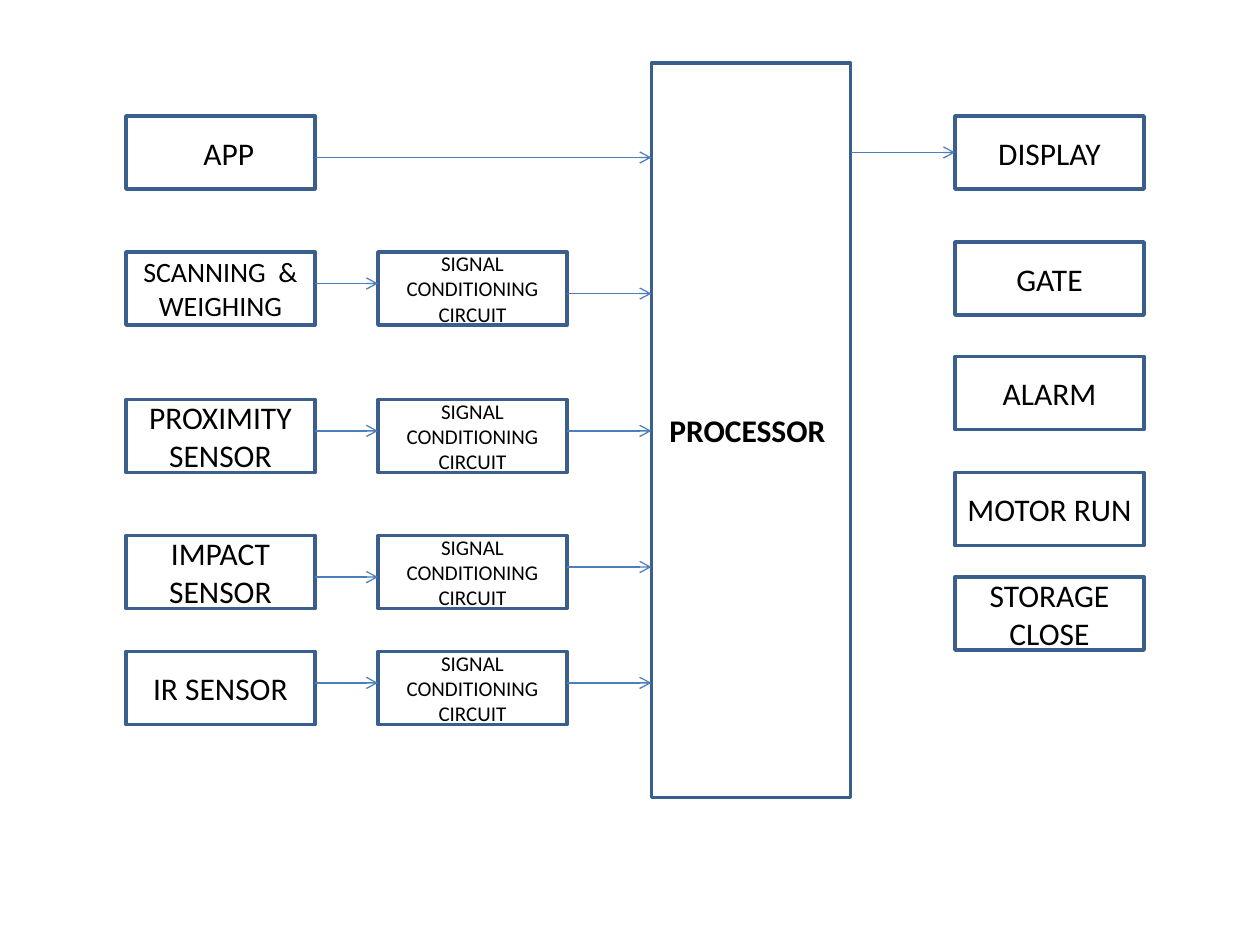
from dataclasses import dataclass

from lxml.etree import SubElement
from pptx import Presentation
from pptx.dml.color import RGBColor
from pptx.enum.shapes import MSO_CONNECTOR as Connector, MSO_SHAPE as Shape
from pptx.enum.text import MSO_ANCHOR as Anchor, PP_ALIGN as Align
from pptx.oxml.ns import qn
from pptx.util import Inches, Pt


@dataclass(frozen=True)
class Theme:
    font: str = "Calibri"
    paper: RGBColor = RGBColor(0xFF, 0xFF, 0xFF)
    ink: RGBColor = RGBColor(0, 0, 0)
    border: RGBColor = RGBColor(0x3A, 0x5F, 0x8C)
    arrow: RGBColor = RGBColor(0x4B, 0x7E, 0xBC)
    border_width: float = 2
    arrow_width: float = 0.75
    large: int = 18
    medium: int = 16
    small: int = 12


THEME = Theme()


@dataclass(frozen=True)
class Block:
    label: str
    left: float
    top: float
    size: int = THEME.large
    width: float = 1.5
    height: float = 0.58
    bold: bool = False
    inset: float = 0.1

    @property
    def right(self) -> float:
        return self.left + self.width


@dataclass(frozen=True)
class Arrow:
    start: float
    end: float
    y: float


def draw_block(slide, block: Block) -> None:
    box = slide.shapes.add_shape(
        Shape.RECTANGLE, Inches(block.left), Inches(block.top),
        Inches(block.width), Inches(block.height))
    box.shadow.inherit = False
    box.fill.solid()
    box.fill.fore_color.rgb = THEME.paper
    box.line.color.rgb = THEME.border
    box.line.width = Pt(THEME.border_width)
    frame = box.text_frame
    frame.text = block.label
    frame.word_wrap = True
    frame.vertical_anchor = Anchor.MIDDLE
    frame.margin_left = Inches(block.inset)
    label = frame.paragraphs[0]
    label.alignment = Align.CENTER
    font = label.runs[0].font
    font.name, font.size, font.bold = THEME.font, Pt(block.size), block.bold
    font.color.rgb = THEME.ink


def draw_arrow(slide, arrow: Arrow) -> None:
    link = slide.shapes.add_connector(
        Connector.STRAIGHT, Inches(arrow.start), Inches(arrow.y),
        Inches(arrow.end), Inches(arrow.y))
    link.line.color.rgb = THEME.arrow
    link.line.width = Pt(THEME.arrow_width)
    SubElement(link.line._get_or_add_ln(), qn("a:tailEnd"), type="arrow")
    SubElement(link._element.spPr, qn("a:effectLst"))


# Columns
INPUT_X, CIRCUIT_X, PROCESSOR_X, OUTPUT_X = 1, 3, 5.17, 7.58

processor = Block("PROCESSOR ", PROCESSOR_X, 0.5, width=1.58, height=5.83, bold=True)
app = Block("APP", INPUT_X, 0.92, inset=0.23)

# Sensors: label, top, type size, heights of the arrows into and out of the circuit
sensors = [
    ("SCANNING  & WEIGHING", 2, THEME.medium, 2.25, 2.33),
    ("PROXIMITY SENSOR", 3.17, THEME.large, 3.42, 3.42),
    ("IMPACT SENSOR", 4.25, THEME.large, 4.58, 4.5),
    ("IR SENSOR", 5.17, THEME.large, 5.42, 5.42),
]
outputs = [("DISPLAY", 0.92), ("GATE", 1.92), ("ALARM", 2.83),
           ("MOTOR RUN", 3.75), ("STORAGE CLOSE", 4.58)]

# Blocks with the arrows that join them edge to edge
blocks = [processor, app]
arrows = [Arrow(app.right, processor.left, 1.25)]
for label, top, size, into_y, out_y in sensors:
    sensor = Block(label, INPUT_X, top, size)
    circuit = Block("SIGNAL CONDITIONING CIRCUIT", CIRCUIT_X, top, THEME.small)
    blocks += [sensor, circuit]
    arrows += [Arrow(sensor.right, circuit.left, into_y),
               Arrow(circuit.right, processor.left, out_y)]
blocks += [Block(label, OUTPUT_X, top) for label, top in outputs]
arrows.append(Arrow(processor.right, OUTPUT_X, 1.21))

# Slide
deck = Presentation()
deck.slide_width, deck.slide_height = Inches(10), Inches(7.5)
diagram = deck.slides.add_slide(deck.slide_layouts[6])
for block in blocks:
    draw_block(diagram, block)
for arrow in arrows:
    draw_arrow(diagram, arrow)
deck.save("out.pptx")
